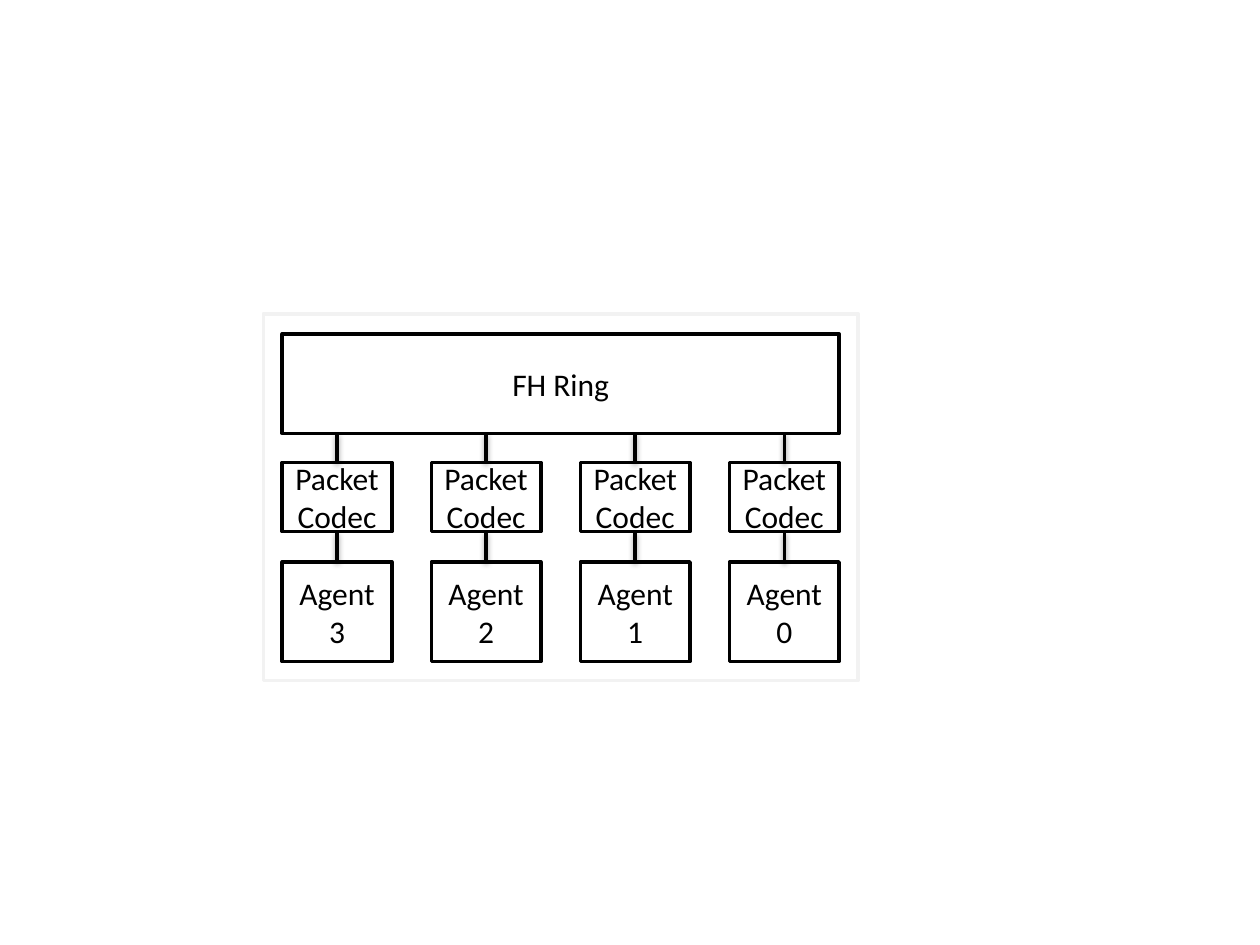
from dataclasses import dataclass

from pptx import Presentation
from pptx.dml.color import RGBColor
from pptx.enum.shapes import MSO_CONNECTOR, MSO_SHAPE
from pptx.enum.text import MSO_ANCHOR, PP_ALIGN
from pptx.util import Inches, Pt

RECT = MSO_SHAPE.RECTANGLE
LINE = MSO_CONNECTOR.STRAIGHT
MIDDLE = MSO_ANCHOR.MIDDLE
CENTER = PP_ALIGN.CENTER
TOP, BOTTOM = 0, 2


@dataclass(frozen=True)
class Theme:
    ink: RGBColor = RGBColor(0, 0, 0)
    paper: RGBColor = RGBColor(255, 255, 255)
    frame: RGBColor = RGBColor(0xF2, 0xF2, 0xF2)
    font: str = "Calibri"
    size: Pt = Pt(18)
    stroke: Pt = Pt(2)


theme = Theme()
prs = Presentation()
prs.slide_width, prs.slide_height = Inches(10), Inches(7.5)
slide = prs.slides.add_slide(prs.slide_layouts[6])
shapes = slide.shapes


def add_box(text, *, left, top, width, height, line=theme.ink):
    box = shapes.add_shape(RECT, Inches(left), Inches(top), Inches(width), Inches(height))
    box.shadow.inherit = False
    box.fill.solid()
    box.fill.fore_color.rgb = theme.paper
    box.line.color.rgb = line
    box.line.width = theme.stroke
    if text:
        frame = box.text_frame
        frame.word_wrap = True
        frame.vertical_anchor = MIDDLE
        para = frame.paragraphs[0]
        para.alignment = CENTER
        run = para.add_run()
        run.text = text
        run.font.name = theme.font
        run.font.size = theme.size
        run.font.color.rgb = theme.ink
    return box


def add_link(lower, upper):
    """Draw a vertical line from the top of one box to the bottom of another."""
    mid = lower.left + lower.width // 2
    link = shapes.add_connector(LINE, mid, lower.top, mid, upper.top + upper.height)
    link.line.color.rgb = theme.ink
    link.line.width = theme.stroke
    link.begin_connect(lower, TOP)
    return link


# Frame and ring
left, span = 2.24, 4.42
add_box("", left=2.09, top=2.49, width=4.72, height=2.91, line=theme.frame)
ring = add_box("FH Ring", left=left, top=2.65, width=span, height=0.79)

# Agents, each joined to the ring through its codec
count, width = 4, 0.87
step = (span - width) / (count - 1)
for col in range(count):
    x = left + col * step
    codec = add_box("Packet Codec", left=x, top=3.67, width=width, height=0.55)
    agent = add_box(f"Agent {count - 1 - col}", left=x, top=4.46, width=width, height=0.79)
    # The links keep the soft shadow of the theme
    add_link(codec, ring)
    add_link(agent, codec).end_connect(codec, BOTTOM)

prs.save("out.pptx")
